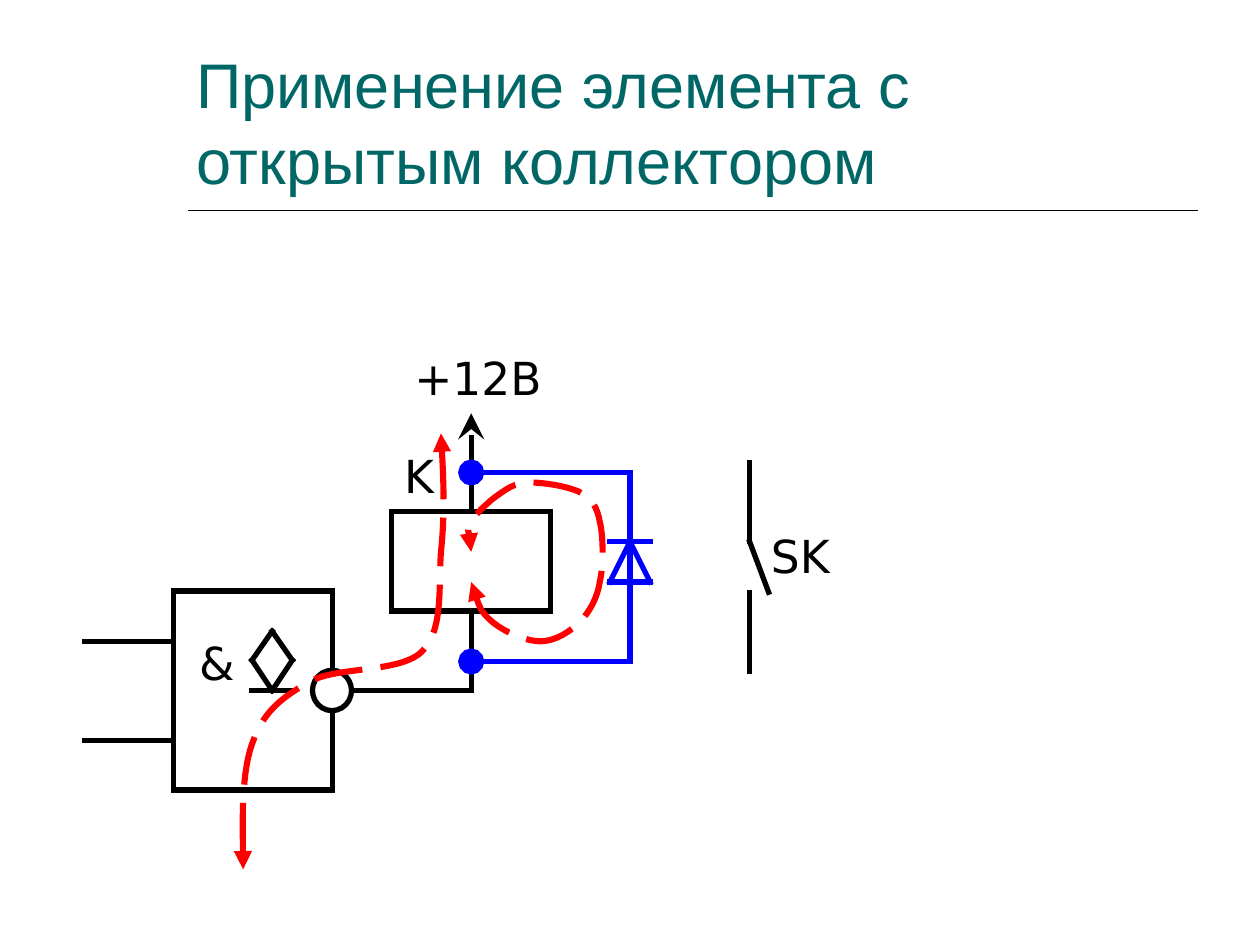
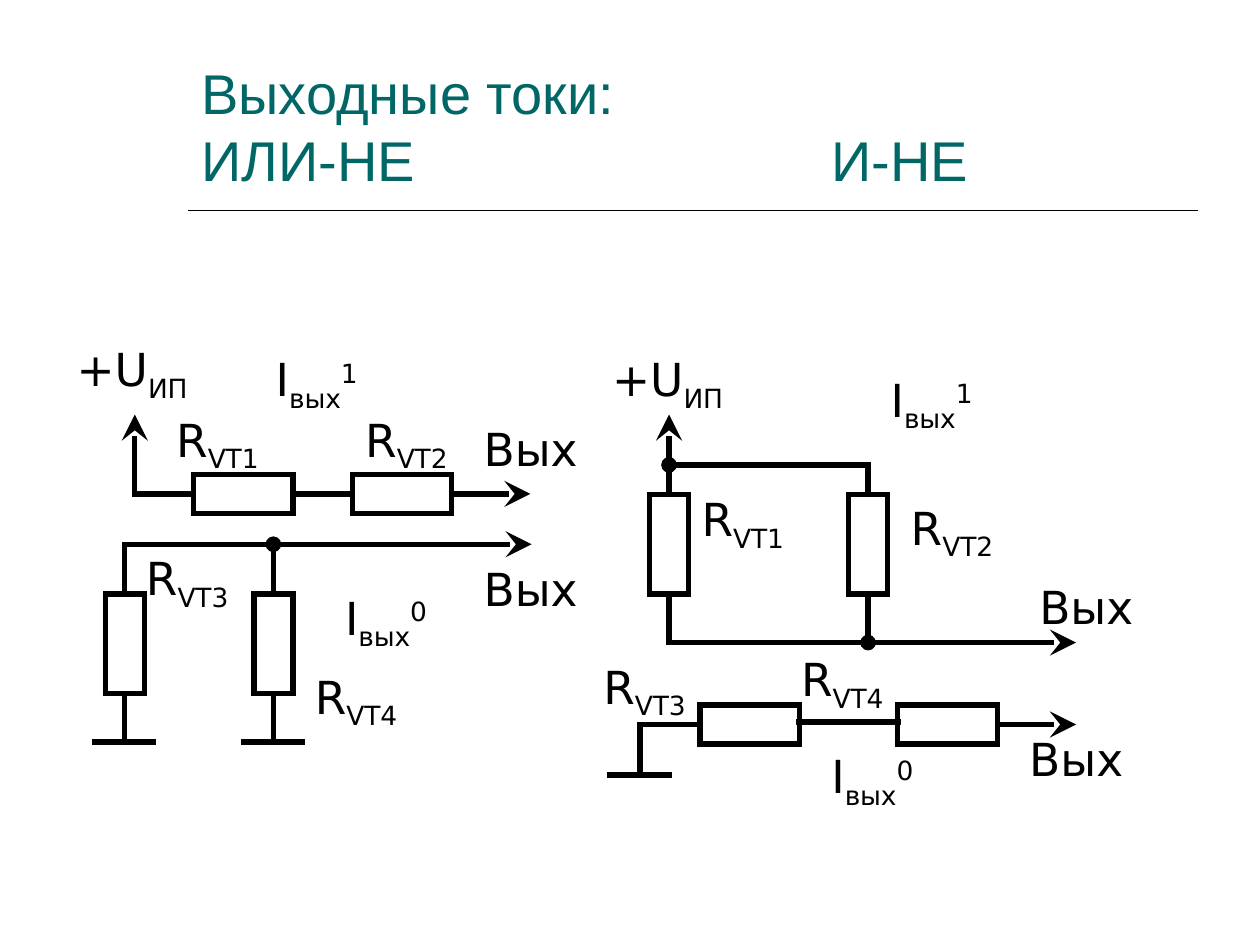
"""Build two slides on logic gate outputs: open collector use and output currents."""
from itertools import pairwise

from lxml.etree import SubElement
from pptx import Presentation
from pptx.dml.color import RGBColor
from pptx.enum.dml import MSO_LINE
from pptx.enum.shapes import MSO_CONNECTOR, MSO_SHAPE
from pptx.enum.text import MSO_ANCHOR, PP_ALIGN
from pptx.oxml.ns import qn
from pptx.util import Inches, Pt

COLORS = {"title": "006666", "ink": "000000", "paper": "FFFFFF",
          "diode": "0000FF", "current": "FF0000"}
TITLE_FONT, LABEL_FONT = "Arial", "DejaVu Sans"
TOP, LEFT, BOTTOM, RIGHT = range(4)
ARROW, DOT, BIG_DOT = ("stealth", "lg"), ("oval", "med"), ("oval", "lg")

COLLECTOR = {
    "title": ("Применение элемента с открытым коллектором", 36, (1.46, 0.04, 8, 1.57)),
    "blocks": {"gate": (1.38, 4.69, 1.26, 1.58), "relay": (3.11, 4.06, 1.26, 0.79)},
    "wires": [
        (("gate", RIGHT), (3.74, 5.48), None),
        ((0.67, 5.88), (1.38, 5.88), None),
        ((0.67, 5.09), (1.38, 5.09), None),
        (("relay", TOP), (3.74, 3.28), ARROW),
        ((3.74, 5.48), ("relay", BOTTOM), None),
        ((5.95, 3.67), (5.95, 4.3), None),
        ((5.95, 4.3), (6.1, 4.7), None),
        ((5.95, 4.7), (5.95, 5.33), None),
    ],
    "labels": [
        (3.19, 2.73, ("+12В",)),
        (3.11, 3.51, ("K",)),
        (6.02, 4.14, ("SK",)),
    ],
}
BUBBLE = (2.48, 5.32, 0.31, 0.32)
OPEN_COLLECTOR_SIGN = [
    [(2.16, 5.01), (2.32, 5.24), (2.16, 5.48), (2, 5.24), (2.16, 5.01)],
    [(2, 5.48), (2.32, 5.48)],
]
DIODE_WIRES = [
    ((5, 5.25), (3.74, 5.25), BIG_DOT),
    ((5, 5.25), (5, 3.75), None),
    ((5, 3.75), (3.74, 3.75), BIG_DOT),
]
DIODE_SIGN = [
    [(4.84, 4.3), (5.16, 4.3)],
    [(5, 4.3), (5.16, 4.62), (4.84, 4.62), (5, 4.3)],
]
CURRENTS = [
    [(3.5, 3.44), (3.52, 3.76), (3.53, 4.09), (3.5, 4.38),
     (3.48, 4.67), (3.52, 5), (3.35, 5.17), (3.18, 5.34), (2.7, 5.29), (2.48, 5.4),
     (2.26, 5.52), (2.1, 5.63), (2.01, 5.88), (1.91, 6.13), (1.93, 6.87), (1.93, 6.9)],
    [(3.74, 4.62), (3.77, 4.73), (3.81, 4.85), (3.9, 4.93),
     (3.99, 5.01), (4.17, 5.09), (4.29, 5.09), (4.41, 5.09), (4.53, 5.01), (4.61, 4.93),
     (4.68, 4.85), (4.74, 4.75), (4.76, 4.62), (4.79, 4.49), (4.79, 4.26), (4.76, 4.14),
     (4.74, 4.03), (4.7, 3.96), (4.61, 3.91), (4.51, 3.86), (4.32, 3.83), (4.21, 3.83),
     (4.11, 3.83), (4.05, 3.86), (3.98, 3.91), (3.9, 3.96), (3.78, 4.07), (3.74, 4.14),
     (3.7, 4.22), (3.74, 4.35), (3.74, 4.38)],
]


def resistor(x, y, upright):
    """Return the frame of a resistor centred at x, y."""
    w, h = (0.31, 0.79) if upright else (0.79, 0.31)
    return x - w / 2, y - h / 2, w, h


OUTPUTS = {
    "title": ("Выходные токи:\vИЛИ-НЕ\tИ-НЕ", 32, (1.5, 0.33, 8, 1.25)),
    "blocks": {
        "nor1": resistor(1.93, 3.92, False), "nor2": resistor(3.19, 3.92, False),
        "nor3": resistor(0.99, 5.11, True), "nor4": resistor(2.17, 5.11, True),
        "nand1": resistor(5.31, 4.32, True), "nand2": resistor(6.89, 4.32, True),
        "nand3": resistor(5.95, 5.75, False), "nand4": resistor(7.52, 5.75, False),
    },
    "wires": [
        ((1.07, 3.92), (1.07, 3.29), ARROW),
        ((1.07, 3.92), ("nor1", LEFT), None),
        (("nor1", RIGHT), ("nor2", LEFT), None),
        (("nor2", RIGHT), (4.21, 3.92), ARROW),
        ((0.99, 4.32), (4.22, 4.32), ARROW),
        (("nor3", TOP), (0.99, 4.32), None),
        (("nor4", TOP), (2.17, 4.32), DOT),
        (("nor3", BOTTOM), (0.99, 5.89), None),
        (("nor4", BOTTOM), (2.17, 5.89), None),
        ((0.75, 5.89), (1.22, 5.89), None),
        ((1.93, 5.89), (2.4, 5.89), None),
        (("nand1", TOP), (5.31, 3.29), ARROW),
        ((6.89, 3.69), (5.31, 3.69), DOT),
        (("nand2", TOP), (6.89, 3.69), None),
        (("nand1", BOTTOM), (5.31, 5.1), None),
        (("nand2", BOTTOM), (6.89, 5.1), DOT),
        ((5.31, 5.1), (8.54, 5.1), ARROW),
        ((5.08, 5.75), ("nand3", LEFT), None),
        ((6.34, 5.73), (7.13, 5.73), None),
        (("nand4", RIGHT), (8.54, 5.75), ARROW),
        ((5.08, 5.75), (5.08, 6.15), None),
        ((4.84, 6.15), (5.31, 6.15), None),
    ],
    "labels": [
        (0.51, 2.66, ("+U", "ИП")), (4.76, 2.74, ("+U", "ИП")),
        (1.3, 3.22, ("R", "VT1")), (2.8, 3.22, ("R", "VT2")),
        (1.06, 4.32, ("R", "VT3")), (2.4, 5.26, ("R", "VT4")),
        (5.47, 3.85, ("R", "VT1")), (7.13, 3.92, ("R", "VT2")),
        (4.69, 5.18, ("R", "VT3")), (6.26, 5.12, ("R", "VT4")),
        (2.09, 2.74, ("I", "вых", "1")), (2.64, 4.63, ("I", "вых", "0")),
        (6.97, 2.9, ("I", "вых", "1")), (6.5, 5.89, ("I", "вых", "0")),
        (3.74, 3.29, ("Вых",)), (3.74, 4.4, ("Вых",)),
        (8.15, 4.55, ("Вых",)), (8.07, 5.75, ("Вых",)),
    ],
}


def rgb(name):
    return RGBColor.from_string(COLORS[name])


def inches(values):
    return [Inches(v) for v in values]


def style_font(font, name, size, color):
    font.name, font.size = name, Pt(size)
    font.color.rgb = rgb(color)


def style_line(line, color, width, cap="sq"):
    line.color.rgb = rgb(color)
    line.width = Pt(width)
    ln = line._get_or_add_ln()
    ln.set("cap", cap)
    SubElement(ln, qn("a:miter"), lim="800000")


def add_end(line, end, kind, size):
    SubElement(line._get_or_add_ln(), qn(f"a:{end}"), type=kind, w=size, len=size)


def add_title(s, text, size, frame):
    tf = s.shapes.add_textbox(*inches(frame)).text_frame
    tf.word_wrap = True
    tf.vertical_anchor = MSO_ANCHOR.BOTTOM
    p = tf.paragraphs[0]
    p.text = text
    if "\t" in text:
        tabs = SubElement(p._p.get_or_add_pPr(), qn("a:tabLst"))
        SubElement(tabs, qn("a:tab"), pos=str(Inches(5)), algn="l")
    for r in p.runs:
        style_font(r.font, TITLE_FONT, size, "title")


def add_block(s, frame, kind=MSO_SHAPE.RECTANGLE):
    sp = s.shapes.add_shape(kind, *inches(frame))
    sp.shadow.inherit = False
    sp.fill.solid()
    sp.fill.fore_color.rgb = rgb("paper")
    style_line(sp.line, "ink", 3)
    return sp


def add_wire(s, start, end, marker=None, blocks=None, color="ink", width=3):
    joins = [isinstance(point[0], str) for point in (start, end)]
    points = [(0, 0) if joined else point for joined, point in zip(joins, (start, end))]
    c = s.shapes.add_connector(MSO_CONNECTOR.STRAIGHT, *inches(points[0] + points[1]))
    if joins[0]:
        c.begin_connect(blocks[start[0]], start[1])
    if joins[1]:
        c.end_connect(blocks[end[0]], end[1])
    style_line(c.line, color, width)
    if marker:
        add_end(c.line, "tailEnd", *marker)
    SubElement(c._element.spPr, qn("a:effectLst"))


def add_sign(s, strokes, color):
    for stroke in strokes:
        for start, end in pairwise(stroke):
            add_wire(s, start, end, color=color)


def add_label(s, x, y, parts):
    height = 0.54 if len(parts) == 1 else 0.6
    tf = s.shapes.add_textbox(*inches((x, y, 1.26, height))).text_frame
    tf.word_wrap = True
    for text, baseline in zip(parts, (0, -25000, 30000)):
        r = tf.paragraphs[0].add_run()
        r.text = text
        style_font(r.font, LABEL_FONT, 26, "ink")
        if baseline:
            r.font._rPr.set("baseline", str(baseline))


def bend(sp):
    """Turn each three straight segments into one cubic curve."""
    outline = next(sp._element.iter(qn("a:path")))
    segments = outline.findall(qn("a:lnTo"))
    for i in range(0, len(segments), 3):
        curve = SubElement(outline, qn("a:cubicBezTo"))
        for segment in segments[i:i + 3]:
            curve.append(segment[0])
            outline.remove(segment)


def add_current(s, knots):
    points = [inches(point) for point in knots]
    builder = s.shapes.build_freeform(*points[0])
    builder.add_line_segments(points[1:], close=False)
    sp = builder.convert_to_shape()
    bend(sp)
    sp.shadow.inherit = False
    sp.fill.background()
    style_line(sp.line, "current", 3.5, cap="flat")
    sp.line.dash_style = MSO_LINE.LONG_DASH
    for end in ("headEnd", "tailEnd"):
        add_end(sp.line, end, "triangle", "med")


def add_circuit(prs, circuit):
    s = prs.slides.add_slide(prs.slide_layouts[6])
    add_wire(s, (1.5, 1.67), (9.5, 1.67), width=1)
    add_title(s, *circuit["title"])
    blocks = {name: add_block(s, frame) for name, frame in circuit["blocks"].items()}
    for start, end, marker in circuit["wires"]:
        add_wire(s, start, end, marker, blocks)
    for label in circuit["labels"]:
        add_label(s, *label)
    return s, blocks


def add_gate_text(gate):
    tf = gate.text_frame
    tf.vertical_anchor = MSO_ANCHOR.TOP
    tf.margin_left, tf.margin_top = Inches(0.2), Inches(0.35)
    p = tf.paragraphs[0]
    p.text = "&"
    p.alignment = PP_ALIGN.LEFT
    style_font(p.runs[0].font, LABEL_FONT, 26, "ink")


def main():
    prs = Presentation()
    prs.slide_width, prs.slide_height = Inches(10), Inches(7.5)
    s, blocks = add_circuit(prs, COLLECTOR)
    add_gate_text(blocks["gate"])
    add_block(s, BUBBLE, MSO_SHAPE.OVAL)
    add_sign(s, OPEN_COLLECTOR_SIGN, "ink")
    for start, end, marker in DIODE_WIRES:
        add_wire(s, start, end, marker, color="diode")
    add_sign(s, DIODE_SIGN, "diode")
    for knots in CURRENTS:
        add_current(s, knots)
    add_circuit(prs, OUTPUTS)
    prs.save("out.pptx")


if __name__ == "__main__":
    main()
